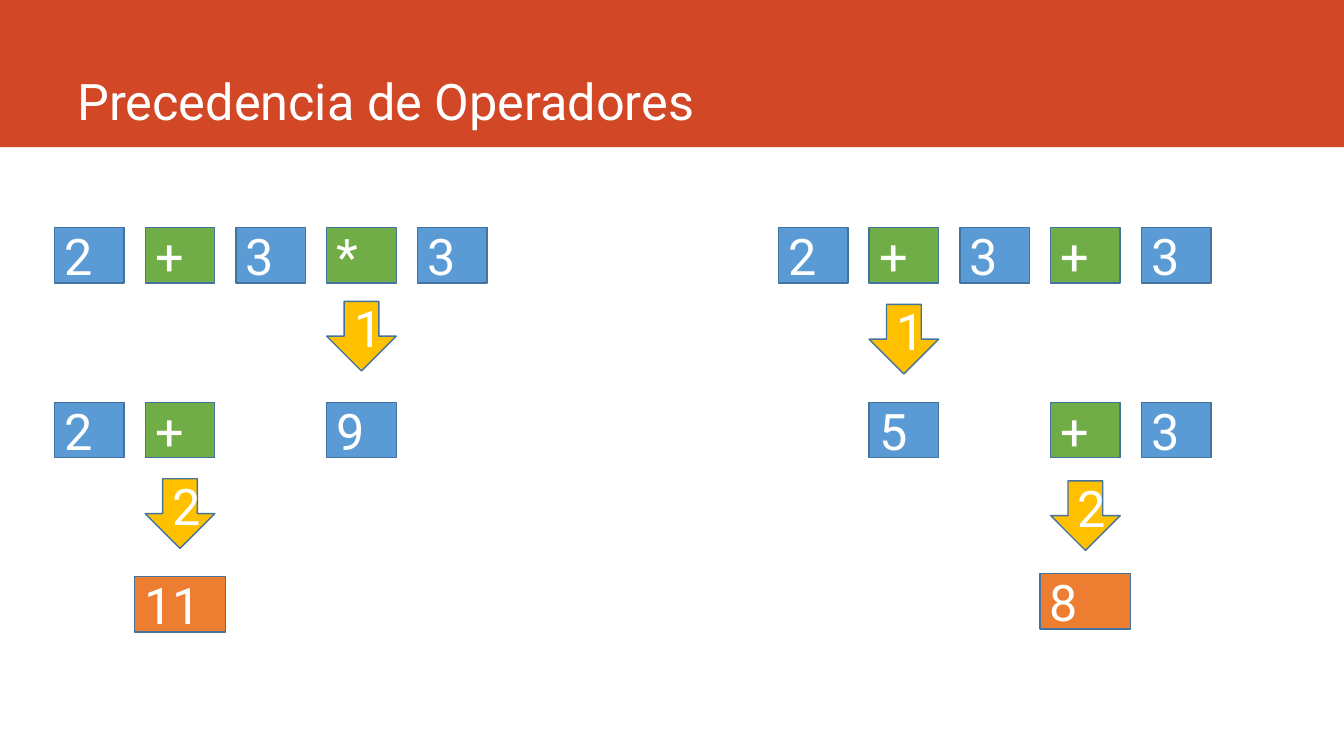
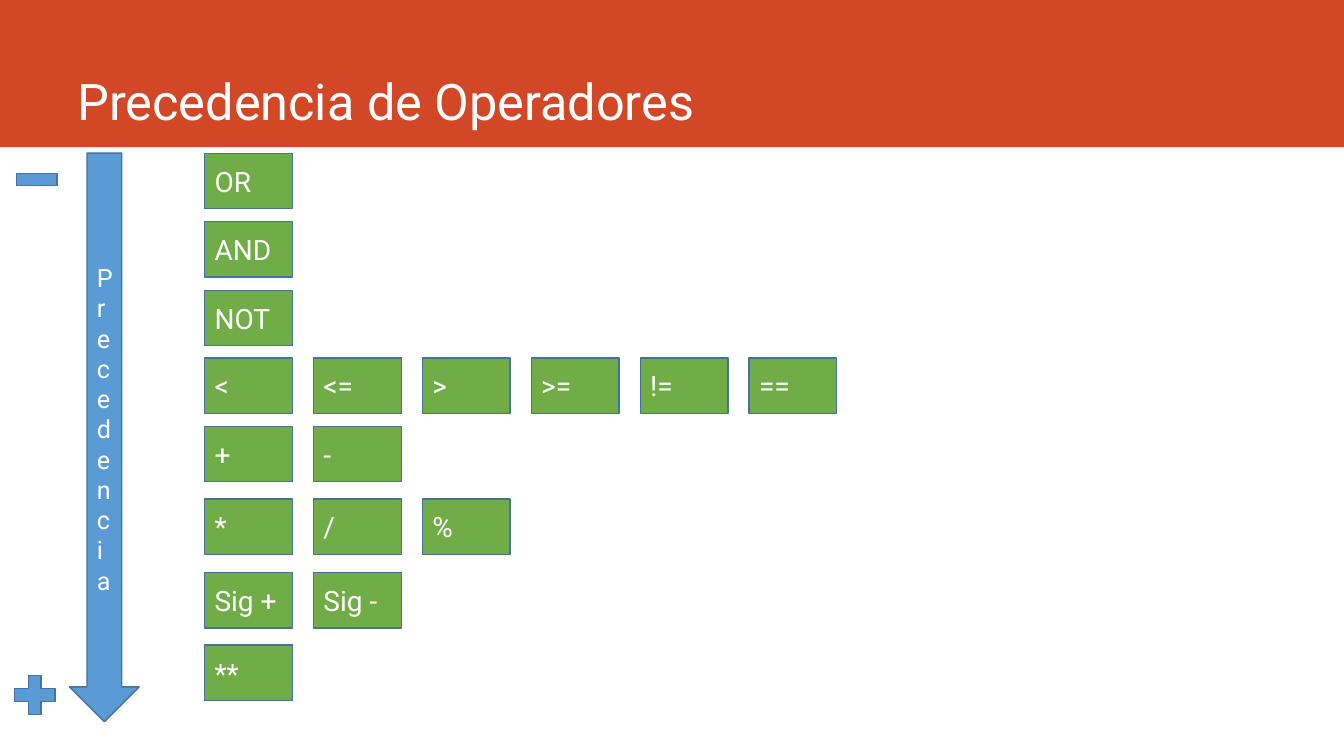
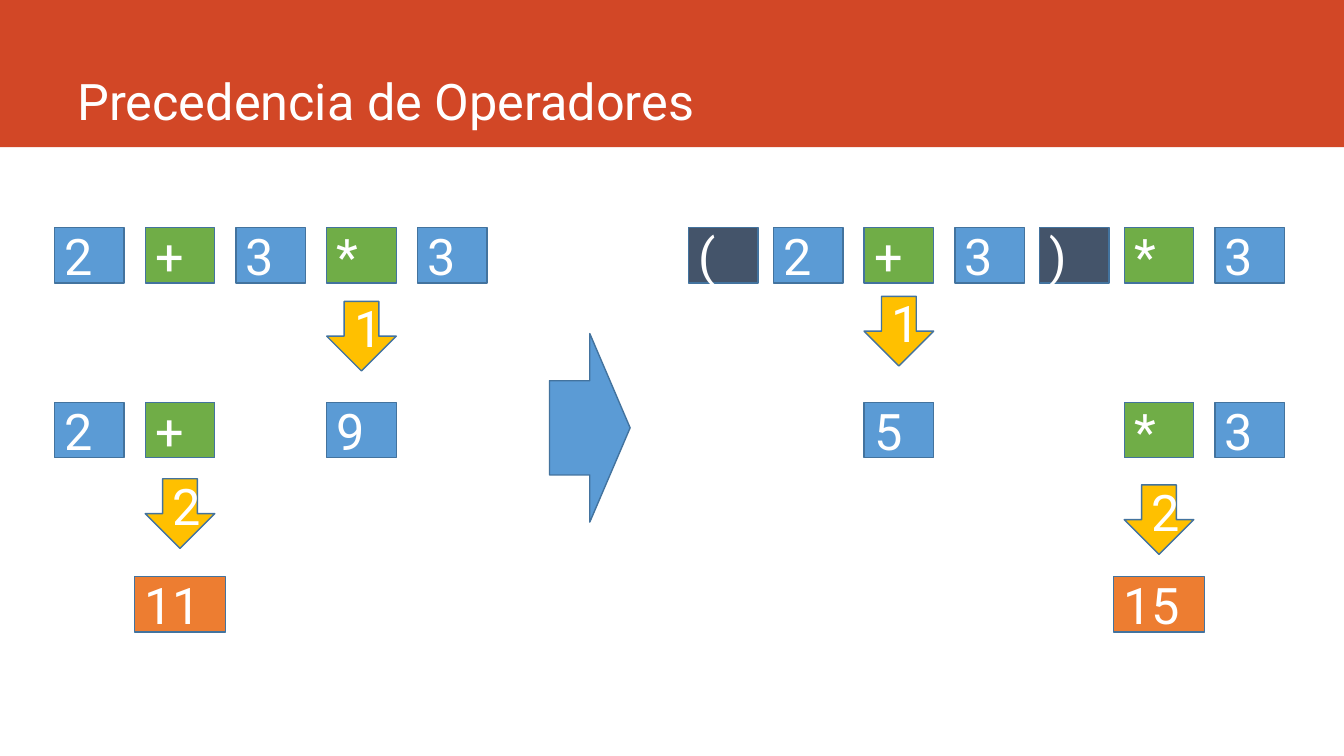
from itertools import accumulate

from pptx import Presentation
from pptx.dml.color import RGBColor
from pptx.enum import shapes, text
from pptx.util import Inches, Pt

COLORS = {
    "band": "D24726",
    "number": "5B9BD5",
    "operator": "70AD47",
    "parenthesis": "44546A",
    "step": "FFC000",
    "result": "ED7D31",
    "outline": "43739E",
    "white": "FFFFFF",
}
FONT = "Roboto"
TITLE = "Precedencia de Operadores"
SHAPE = shapes.MSO_SHAPE

TILE_WIDTH, TILE_HEIGHT = 0.69, 0.55
PITCH, PARENTHESIS_PITCH = 0.9, 0.84
EXPRESSION_TOP, REDUCED_TOP = 2.26, 3.99
RESULT_WIDTH = 0.9
OPERATOR_LEFT, OPERATOR_WIDTH, OPERATOR_PITCH = 2.03, 0.87, 1.08

# Operators by row, from lowest to highest precedence
PRECEDENCE = [
    (1.52, ["OR"]),
    (2.20, ["AND"]),
    (2.88, ["NOT"]),
    (3.55, ["<", "<=", ">", ">=", "!=", "=="]),
    (4.23, ["+", "-"]),
    (4.95, ["*", "/", "%"]),
    (5.68, ["Sig +", "Sig - "]),
    (6.40, ["**"]),
]


def rgb(name):
    return RGBColor.from_string(COLORS[name])


def write(shape, words, size):
    shape.text_frame.text = words
    font = shape.text_frame.paragraphs[0].runs[0].font
    font.name, font.size = FONT, Pt(size)
    font.color.rgb = rgb("white")


def add_figure(slide, kind, box, fill, words="", size=36, outline="outline"):
    shape = slide.shapes.add_shape(kind, *map(Inches, box))
    shape.shadow.inherit = False
    shape.fill.solid()
    shape.fill.fore_color.rgb = rgb(fill)
    if outline:
        shape.line.color.rgb = rgb(outline)
        shape.line.width = Pt(1)
    else:
        shape.line.fill.background()
    if words:
        write(shape, words, size)


def add_titled_slide(presentation):
    slide = presentation.slides.add_slide(presentation.slide_layouts[6])
    add_figure(slide, SHAPE.RECTANGLE, (0, 0, 13.33, 1.46), "band", outline=None)
    title = slide.shapes.add_textbox(*map(Inches, (0.67, 0, 11.75, 1.34)))
    title.text_frame.word_wrap = True
    title.text_frame.vertical_anchor = text.MSO_ANCHOR.BOTTOM
    write(title, TITLE, 36)
    return slide


def token_kind(token):
    if token.isdigit():
        return "number"
    return "parenthesis" if token in "()" else "operator"


def column_lefts(left, tokens):
    """Tiles next to a parenthesis stand a little closer together."""
    pitches = [PARENTHESIS_PITCH if {"(", ")"} & set(pair) else PITCH
               for pair in zip(tokens, tokens[1:])]
    return list(accumulate(pitches, initial=left))


def add_evaluation(slide, left, tokens, reduced, steps, result, result_top):
    """reduced maps columns to tokens; steps lists the (column, top) of each arrow."""
    lefts = column_lefts(left, tokens)
    for top, row in ((EXPRESSION_TOP, dict(enumerate(tokens))), (REDUCED_TOP, reduced)):
        for column, token in row.items():
            box = (lefts[column], top, TILE_WIDTH, TILE_HEIGHT)
            add_figure(slide, SHAPE.RECTANGLE, box, token_kind(token), token)
    for number, (column, top) in enumerate(steps, 1):
        box = (lefts[column], top, TILE_WIDTH, TILE_WIDTH)
        add_figure(slide, SHAPE.DOWN_ARROW, box, "step", str(number))
    # The result is centred below the last step
    result_left = lefts[steps[-1][0]] - (RESULT_WIDTH - TILE_WIDTH) / 2
    box = (result_left, result_top, RESULT_WIDTH, TILE_HEIGHT)
    add_figure(slide, SHAPE.RECTANGLE, box, "result", result)


def add_product_first(slide):
    add_evaluation(slide, 0.54, "2+3*3", {0: "2", 1: "+", 3: "9"},
                   [(3, 2.99), (1, 4.75)], "11", 5.72)


def build_order_slide(presentation):
    slide = add_titled_slide(presentation)
    add_product_first(slide)
    add_evaluation(slide, 7.72, "2+3+3", {1: "5", 3: "+", 4: "3"},
                   [(1, 3.02), (3, 4.77)], "8", 5.69)


def build_precedence_slide(presentation):
    slide = add_titled_slide(presentation)
    # Scale from low to high precedence
    add_figure(slide, SHAPE.DOWN_ARROW, (0.69, 1.52, 0.69, 5.64), "number",
               "Precedencia", 18)
    add_figure(slide, SHAPE.MATH_MINUS, (0.09, 1.52, 0.55, 0.52), "number")
    add_figure(slide, SHAPE.MATH_PLUS, (0.07, 6.63, 0.55, 0.53), "number")
    # Operator grid
    for top, operators in PRECEDENCE:
        for column, operator in enumerate(operators):
            left = OPERATOR_LEFT + column * OPERATOR_PITCH
            add_figure(slide, SHAPE.RECTANGLE, (left, top, OPERATOR_WIDTH, TILE_HEIGHT),
                       "operator", operator, 20)


def build_parentheses_slide(presentation):
    slide = add_titled_slide(presentation)
    add_product_first(slide)
    add_figure(slide, SHAPE.RIGHT_ARROW, (5.45, 3.31, 0.8, 1.87), "number")
    add_evaluation(slide, 6.83, "(2+3)*3", {2: "5", 5: "*", 6: "3"},
                   [(2, 2.94), (5, 4.81)], "15", 5.72)


def main():
    presentation = Presentation()
    presentation.slide_width = Inches(13.33)
    presentation.slide_height = Inches(7.5)
    build_order_slide(presentation)
    build_precedence_slide(presentation)
    build_parentheses_slide(presentation)
    presentation.save("out.pptx")


if __name__ == "__main__":
    main()
